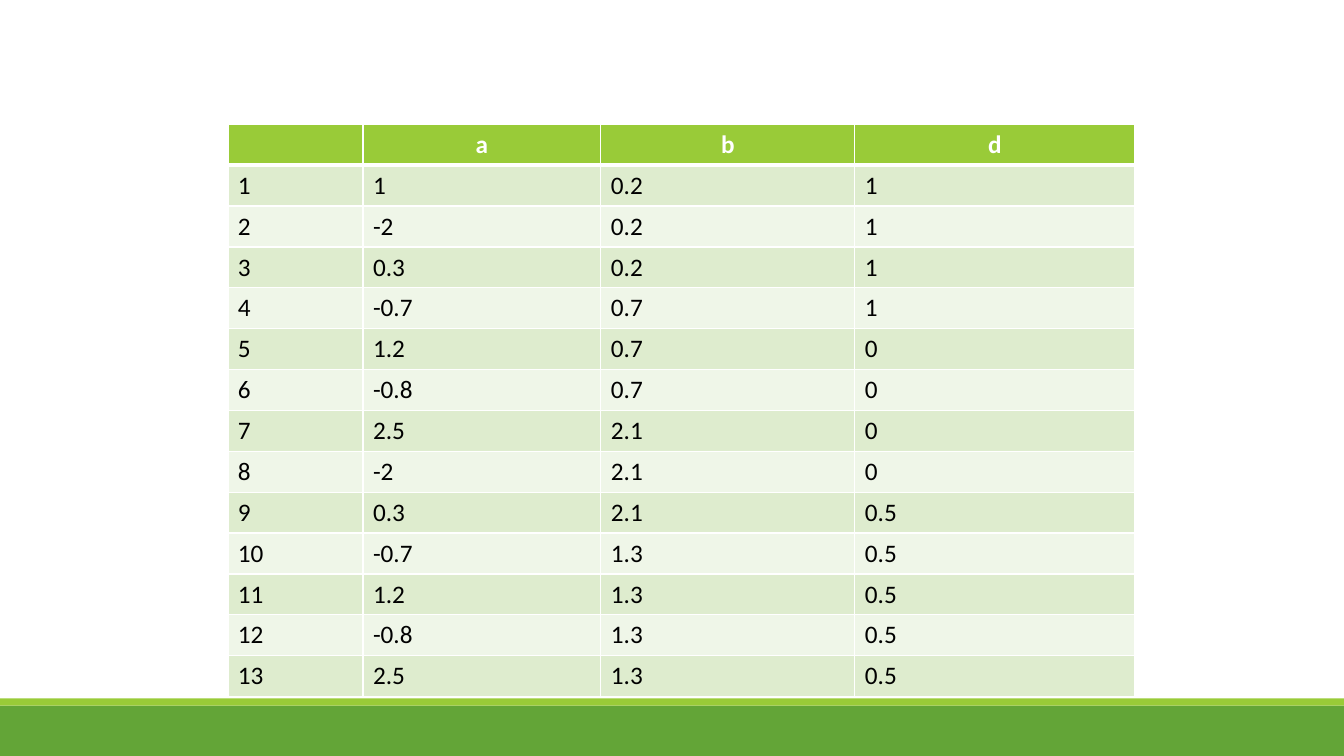
from lxml.etree import SubElement
from pptx import Presentation
from pptx.dml.color import RGBColor
from pptx.enum.shapes import MSO_SHAPE
from pptx.enum.text import PP_ALIGN
from pptx.oxml.ns import qn
from pptx.util import Pt

COLORS = {
    "footer": "63A537",
    "accent": "99CB38",
    "odd_row": "DEECCE",
    "even_row": "EFF6E8",
    "light": "FFFFFF",
    "dark": "000000",
}
SLIDE_WIDTH, SLIDE_HEIGHT = 960, 540
COLUMN_WIDTHS = [96.48, 169.92, 181.44, 200.16]
ROW_HEIGHT = 26.7
THIN, THICK = 1, 3

HEADER = ["", "a", "b", "d"]
ITEMS = [
    ("1", "0.2", "1"),
    ("-2", "0.2", "1"),
    ("0.3", "0.2", "1"),
    ("-0.7", "0.7", "1"),
    ("1.2", "0.7", "0"),
    ("-0.8", "0.7", "0"),
    ("2.5", "2.1", "0"),
    ("-2", "2.1", "0"),
    ("0.3", "2.1", "0.5"),
    ("-0.7", "1.3", "0.5"),
    ("1.2", "1.3", "0.5"),
    ("-0.8", "1.3", "0.5"),
    ("2.5", "1.3", "0.5"),
]


def rgb(name):
    return RGBColor.from_string(COLORS[name])


def add_band(slide, top, height, color):
    band = slide.shapes.add_shape(
        MSO_SHAPE.RECTANGLE, 0, Pt(top), Pt(SLIDE_WIDTH), Pt(height))
    band.shadow.inherit = False
    band.fill.solid()
    band.fill.fore_color.rgb = rgb(color)
    band.line.fill.background()


def set_borders(cell, top, bottom):
    properties = cell._tc.get_or_add_tcPr()
    for side, width in (("L", THIN), ("R", THIN), ("T", top), ("B", bottom)):
        border = SubElement(properties, qn(f"a:ln{side}"), w=str(Pt(width)))
        fill = SubElement(border, qn("a:solidFill"))
        SubElement(fill, qn("a:srgbClr"), val=COLORS["light"])


def fill_cell(cell, text, row):
    is_header = row == 0
    # The thick rule lies between the header and the first item
    set_borders(cell, THICK if row == 1 else THIN, THICK if is_header else THIN)
    cell.fill.solid()
    stripe = "odd_row" if row % 2 else "even_row"
    cell.fill.fore_color.rgb = rgb("accent" if is_header else stripe)

    paragraph = cell.text_frame.paragraphs[0]
    paragraph.text = text
    paragraph.alignment = PP_ALIGN.CENTER if is_header else PP_ALIGN.LEFT
    for run in paragraph.runs:
        run.font.name = "Calibri"
        run.font.size = Pt(18)
        run.font.bold = is_header
        run.font.color.rgb = rgb("light" if is_header else "dark")


def add_item_table(slide, left, top):
    rows = [HEADER] + [(str(n), *item) for n, item in enumerate(ITEMS, 1)]
    table = slide.shapes.add_table(
        len(rows), len(HEADER), Pt(left), Pt(top),
        Pt(sum(COLUMN_WIDTHS)), Pt(ROW_HEIGHT * len(rows))).table
    for column, width in zip(table.columns, COLUMN_WIDTHS):
        column.width = Pt(width)
    for row, values in enumerate(rows):
        table.rows[row].height = Pt(ROW_HEIGHT)
        for column, text in enumerate(values):
            fill_cell(table.cell(row, column), text, row)


def main():
    presentation = Presentation()
    presentation.slide_width = Pt(SLIDE_WIDTH)
    presentation.slide_height = Pt(SLIDE_HEIGHT)
    slide = presentation.slides.add_slide(presentation.slide_layouts[6])

    # Footer bands
    add_band(slide, 504, 36, "footer")
    add_band(slide, 498.8, 5.2, "accent")

    # Item parameters
    add_item_table(slide, 162.8, 88.8)

    presentation.save("out.pptx")


if __name__ == "__main__":
    main()
